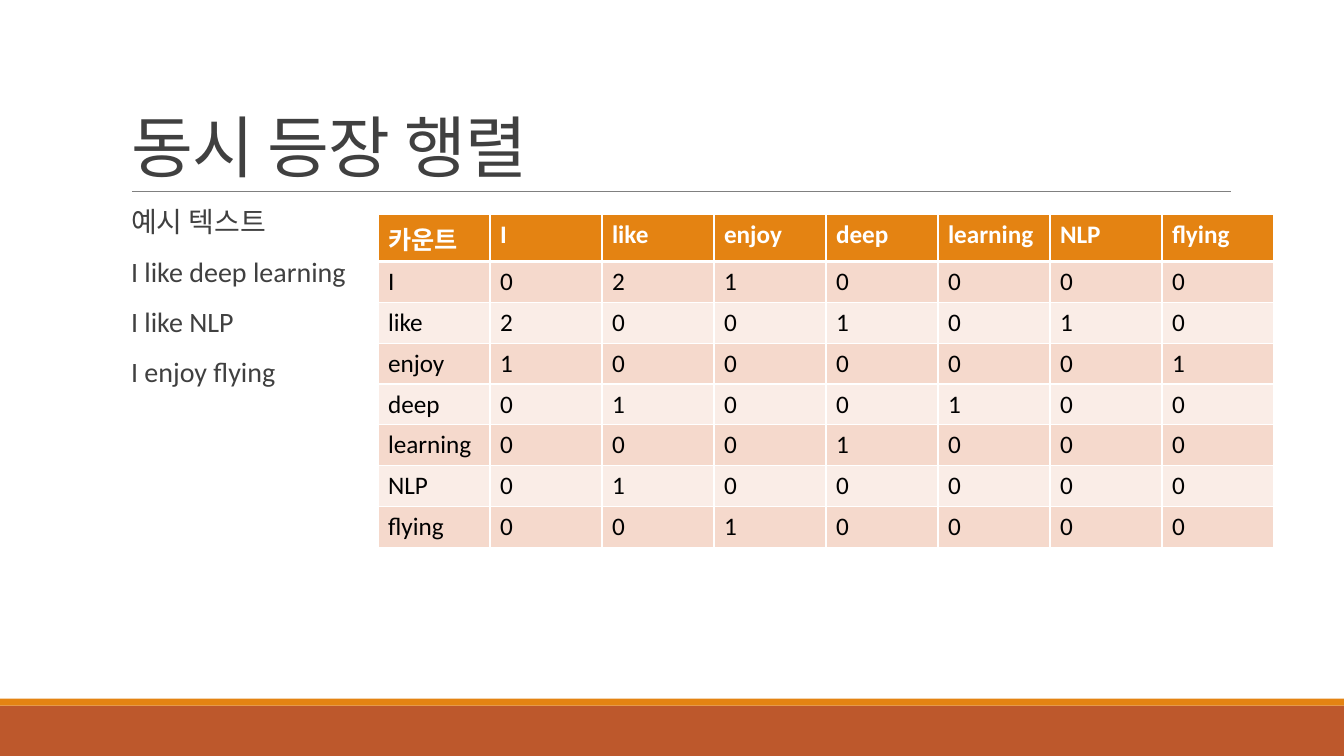
"""Build a slide showing a word co-occurrence matrix beside its example sentences."""
import lxml.etree
import pptx
import pptx.dml.color
import pptx.enum.shapes
import pptx.enum.text
import pptx.oxml.ns
import pptx.util

Pt = pptx.util.Pt
ORANGE, RUST, GREY, WHITE = "E48312", "BD582C", "404040", "FFFFFF"
BANDS = ["F5D9CC", "FAEDE7"]


def color(hex_string):
    return pptx.dml.color.RGBColor.from_string(hex_string)


def add_element(parent, tag, **attributes):
    return lxml.etree.SubElement(parent, pptx.oxml.ns.qn(tag), attributes)


deck = pptx.Presentation()
deck.slide_width, deck.slide_height = Pt(960), Pt(540)
page = deck.slides.add_slide(deck.slide_layouts[1])

for top, height, fill in [(504, 36, RUST), (499, 5, ORANGE)]:
    band = page.shapes.add_shape(
        pptx.enum.shapes.MSO_SHAPE.RECTANGLE, 0, Pt(top), Pt(960), Pt(height))
    band.shadow.inherit = False
    band.fill.solid()
    band.fill.fore_color.rgb = color(fill)
    band.line.fill.background()

rule = page.shapes.add_connector(
    pptx.enum.shapes.MSO_CONNECTOR.STRAIGHT, Pt(94.3), Pt(136.8), Pt(879), Pt(136.8))
rule.line.color.rgb = color("808080")
rule.line.width = Pt(0.5)
add_element(rule.element.spPr, "a:effectLst")

title, body = page.shapes.title, page.placeholders[1]
left_top = {"alignment": pptx.enum.text.PP_ALIGN.LEFT}
blocks = [
    (title, (86.4, 22.3, 792, 114.5), ["동시 등장 행렬"], 48,
     {"vertical_anchor": pptx.enum.text.MSO_ANCHOR.BOTTOM},
     left_top | {"line_spacing": 0.85, "space_before": Pt(0)}),
    (body, (86.4, 145.4, 792, 316.8),
     ["예시 텍스트", "I like deep learning", "I like NLP", "I enjoy flying"], 20,
     {"vertical_anchor": pptx.enum.text.MSO_ANCHOR.TOP, "margin_left": 0, "margin_right": 0},
     left_top | {"line_spacing": 0.9, "space_before": Pt(12), "space_after": Pt(2)}),
]
for box, place, lines, size, frame_format, para_format in blocks:
    box.left, box.top, box.width, box.height = map(Pt, place)
    frame = box.text_frame
    frame.text = "\n".join(lines)
    frame.auto_size = pptx.enum.text.MSO_AUTO_SIZE.NONE
    for name, value in frame_format.items():
        setattr(frame, name, value)
    for para in frame.paragraphs:
        for name, value in para_format.items():
            setattr(para, name, value)
        span = para.runs[0]
        span.font.name, span.font.size = "Calibri", Pt(size)
        span.font.color.rgb = color(GREY)

title.text_frame.paragraphs[0].runs[0].font._element.set("spc", "-50")
for para in body.text_frame.paragraphs:
    properties = para._p.get_or_add_pPr()
    properties.set("marL", str(Pt(7.2)))
    properties.set("indent", str(-Pt(7.2)))
    bullet_color = add_element(properties, "a:buClr")
    add_element(bullet_color, "a:srgbClr", val=ORANGE)
    add_element(properties, "a:buChar", char=" ")

words = ["I", "like", "enjoy", "deep", "learning", "NLP", "flying"]
counts = [
    [0, 2, 1, 0, 0, 0, 0],
    [2, 0, 0, 1, 0, 1, 0],
    [1, 0, 0, 0, 0, 0, 1],
    [0, 1, 0, 0, 1, 0, 0],
    [0, 0, 0, 1, 0, 0, 0],
    [0, 1, 0, 0, 0, 0, 0],
    [0, 0, 1, 0, 0, 0, 0],
]
rows = [["카운트", *words]] + [[word, *line] for word, line in zip(words, counts)]
matrix = page.shapes.add_table(
    len(rows), len(rows[0]), Pt(270), Pt(153.4), Pt(640), Pt(233.6)).table
for r, row in enumerate(rows):
    header = r == 0
    for c, value in enumerate(row):
        cell = matrix.cell(r, c)
        cell.text = str(value)
        font = cell.text_frame.paragraphs[0].runs[0].font
        font.name, font.size, font.bold = "Calibri", Pt(18), header
        font.color.rgb = color(WHITE if header else "000000")
        widths = {"L": 1, "R": 1, "T": 3 if r == 1 else 1, "B": 3 if header else 1}
        for side, width in widths.items():
            border = add_element(cell._tc.get_or_add_tcPr(), f"a:ln{side}", w=str(Pt(width)))
            add_element(add_element(border, "a:solidFill"), "a:srgbClr", val=WHITE)
        cell.fill.solid()
        cell.fill.fore_color.rgb = color(ORANGE if header else BANDS[(r - 1) % 2])

deck.save("out.pptx")
